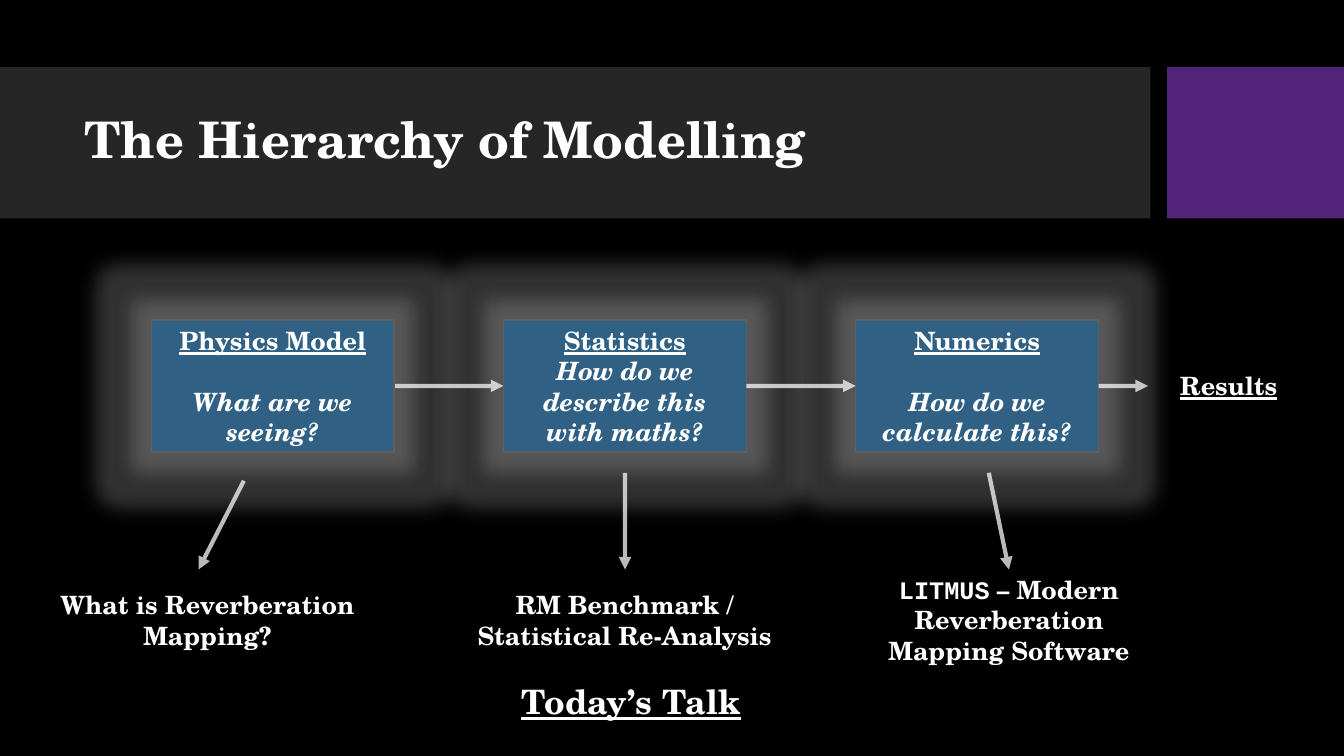
from pptx import Presentation
from pptx.dml.color import RGBColor
from pptx.enum.shapes import MSO_CONNECTOR, MSO_SHAPE
from pptx.enum.text import MSO_ANCHOR, PP_ALIGN
from pptx.oxml import parse_xml
from pptx.oxml.ns import nsdecls
from pptx.util import Pt

TITLE = "The Hierarchy of Modelling"
STAGES = [
    ("Physics Model", "What are we seeing?", 21.6),
    ("Statistics", "How do we describe this with maths?", 0),
    ("Numerics", "How do we calculate this?", 21.6),
]
SERIF, MONO = "TeX Gyre Schola", "Courier New"
TOPICS = [
    ([("What is Reverberation Mapping?", SERIF)], 33, 417.6, 51),
    ([("RM Benchmark / Statistical Re-Analysis", SERIF)], 331, 417.6, 51),
    ([("LITMUS", MONO), (" – Modern Reverberation Mapping Software", SERIF)],
     605.5, 406.8, 72.7),
]
DROPS = [(174.2, 343.4, 141.8, 406.8),
         (446.5, 337.7, 446.5, 406.8),
         (706.3, 337.7, 720.7, 406.8)]

BLACK = RGBColor(0, 0, 0)
WHITE = RGBColor(255, 255, 255)
DARK = RGBColor(0x26, 0x26, 0x26)
PURPLE = RGBColor(0x51, 0x24, 0x7A)
BLUE = RGBColor(0, 0x70, 0xC0)
GREY = RGBColor(0x5F, 0x5F, 0x5F)
LEFT, TOP, WIDE, HIGH, PITCH = 108, 228.5, 173.5, 94.3, 251.6
MID = TOP + HIGH / 2

deck = Presentation()
deck.slide_width, deck.slide_height = Pt(960), Pt(540)
slide = deck.slides.add_slide(deck.slide_layouts[6])
slide.background.fill.solid()
slide.background.fill.fore_color.rgb = BLACK
shapes = slide.shapes


def fade(fill, share):
    color = fill._xPr.find(".//{*}solidFill/{*}srgbClr")
    color.append(parse_xml(f'<a:alpha {nsdecls("a")} val="{share * 1000}"/>'))


def block(x, y, w, h, color):
    shape = shapes.add_shape(MSO_SHAPE.RECTANGLE, Pt(x), Pt(y), Pt(w), Pt(h))
    shape.shadow.inherit = False
    shape.fill.solid()
    shape.fill.fore_color.rgb = color
    shape.line.fill.background()
    return shape


def style(para, size, under=False, slant=False, align=PP_ALIGN.CENTER):
    para.alignment = align
    font = para.font
    font.name, font.size, font.bold = SERIF, Pt(size), True
    font.color.rgb = WHITE
    font.underline, font.italic = under, slant


def label(runs, x, y, w, h, size=18, **look):
    frame = shapes.add_textbox(Pt(x), Pt(y), Pt(w), Pt(h)).text_frame
    frame.word_wrap = True
    para = frame.paragraphs[0]
    style(para, size, **look)
    for text, face in runs:
        run = para.add_run()
        run.text = text
        if face != SERIF:
            run.font.name = face
    return frame


def arrow(x1, y1, x2, y2):
    link = shapes.add_connector(MSO_CONNECTOR.STRAIGHT, Pt(x1), Pt(y1), Pt(x2), Pt(y2))
    link.line.width = Pt(3)
    link.line.color.rgb = WHITE
    fade(link.line.fill, 72)
    link.line._get_or_add_ln().append(
        parse_xml(f'<a:tailEnd {nsdecls("a")} type="triangle"/>'))
    link._element.spPr.append(parse_xml(f'<a:effectLst {nsdecls("a")}/>'))
    return link


def stage(spot, head, ask, gap):
    box = block(LEFT + spot * PITCH, TOP, WIDE, HIGH, BLUE)
    fade(box.fill, 44)
    box.line.color.rgb = GREY
    box.line.width = Pt(1)
    box._element.spPr.find("{*}effectLst").append(parse_xml(
        f'<a:glow {nsdecls("a")} rad="{Pt(28)}"><a:srgbClr val="FFFFFF">'
        '<a:alpha val="19000"/></a:srgbClr></a:glow>'))
    frame = box.text_frame
    frame.word_wrap = True
    frame.vertical_anchor = MSO_ANCHOR.MIDDLE
    top, low = frame.paragraphs[0], frame.add_paragraph()
    top.text, low.text = head, ask
    style(top, 18, under=True)
    style(low, 18, slant=True)
    low.space_before = Pt(gap)
    return box


block(0, 48, 821.8, 108, DARK)
block(833.6, 48, 126.4, 108, PURPLE)
title = label([(TITLE, SERIF)], 53.3, 59, 756.7, 85, 36, align=PP_ALIGN.LEFT)
title.vertical_anchor = MSO_ANCHOR.MIDDLE
title.paragraphs[0].line_spacing = 0.9

first = arrow(LEFT + WIDE, MID, LEFT + PITCH, MID)
boxes = [stage(spot, *item) for spot, item in enumerate(STAGES)]
second = arrow(LEFT + PITCH + WIDE, MID, LEFT + 2 * PITCH, MID)
for link, start, end in zip((first, second), boxes, boxes[1:]):
    link.begin_connect(start, 3)
    link.end_connect(end, 1)
last = arrow(LEFT + 2 * PITCH + WIDE, MID, 820, MID)
last.begin_connect(boxes[-1], 3)

for drop in DROPS:
    arrow(*drop)
for topic in TOPICS:
    runs, x, y, h = topic
    label(runs, x, y, 230.4, h)
label([("Results", SERIF)], 828.6, 261.2, 98, 29, under=True)
label([("Today’s Talk", SERIF)], 360, 483.1, 181.4, 36, 24, under=True)

deck.save("out.pptx")
